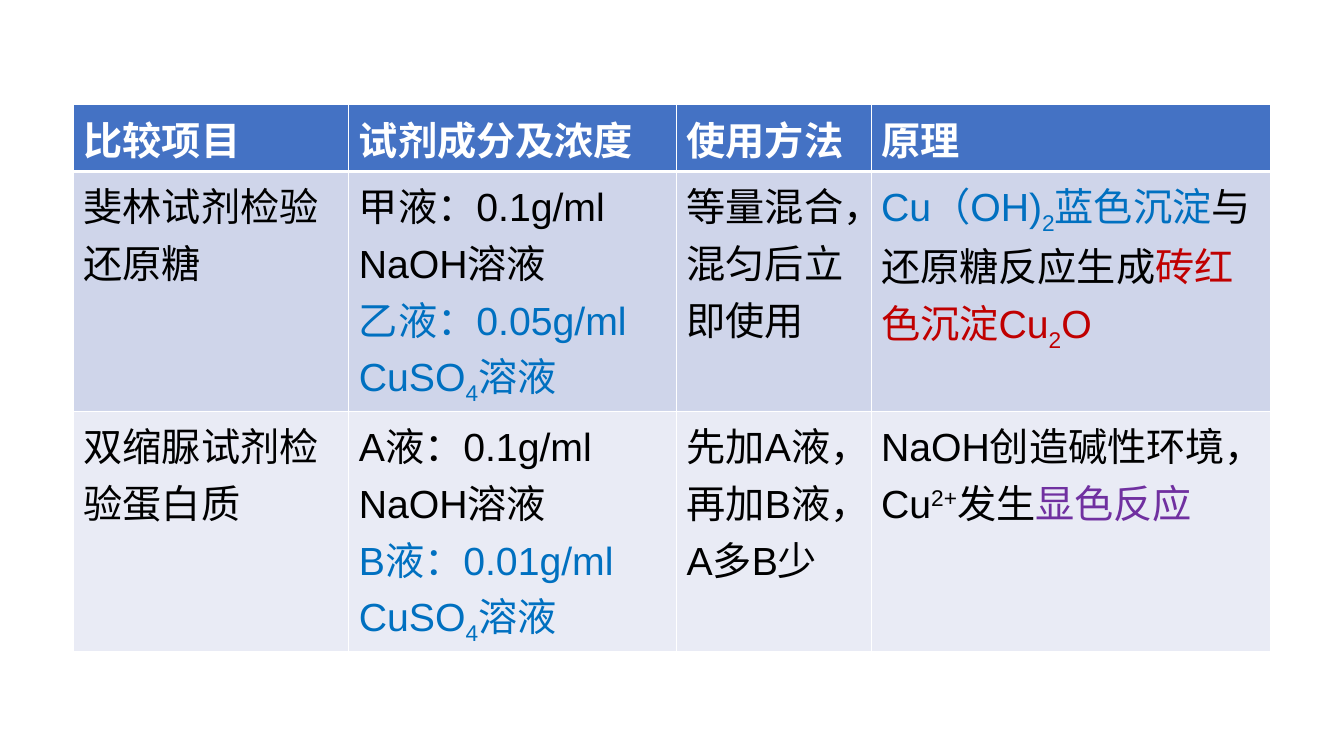
from lxml import etree
from pptx import Presentation
from pptx.dml.color import RGBColor
from pptx.enum.lang import MSO_LANGUAGE_ID
from pptx.oxml.ns import qn
from pptx.util import Inches, Pt

CHINESE = MSO_LANGUAGE_ID.SIMPLIFIED_CHINESE
WHITE, BLACK, BLUE, RED, PURPLE = "FFFFFF", "000000", "0070C0", "C00000", "7030A0"
SUBSCRIPT, SUPERSCRIPT = -25, 30
FONT_NAME, FONT_SIZE = "Arial", 28
ROW_FILLS = ["4472C4", "CFD5EA", "E9EBF5"]

SLIDE_WIDTH, SLIDE_HEIGHT = 13.33, 7.5
TABLE_LEFT, TABLE_TOP = 0.73, 1.04
COLUMN_WIDTHS = [2.73, 3.25, 1.93, 3.96]
ROW_HEIGHT = 0.42


def plain(text, color=BLACK):
    return [[(text, color, 0)]]


def reagents(first, second):
    copper_sulfate = [(second + " CuSO", BLUE, 0), ("4", BLUE, SUBSCRIPT), ("溶液", BLUE, 0)]
    return plain(first + " NaOH溶液") + [copper_sulfate]


HEADINGS = ["比较项目", "试剂成分及浓度", "使用方法", "原理"]
ROWS = [
    [plain(heading, WHITE) for heading in HEADINGS],
    [
        plain("斐林试剂检验还原糖"),
        reagents("甲液：0.1g/ml", "乙液：0.05g/ml"),
        plain("等量混合，混匀后立即使用"),
        [[
            ("Cu（OH)", BLUE, 0), ("2", BLUE, SUBSCRIPT), ("蓝色沉淀", BLUE, 0),
            ("与还原糖反应生成", BLACK, 0),
            ("砖红色沉淀Cu", RED, 0), ("2", RED, SUBSCRIPT), ("O", RED, 0),
        ]],
    ],
    [
        plain("双缩脲试剂检验蛋白质"),
        reagents("A液：0.1g/ml", "B液：0.01g/ml"),
        plain("先加A液，再加B液，A多B少"),
        [[
            ("NaOH创造碱性环境，Cu", BLACK, 0), ("2+", BLACK, SUPERSCRIPT),
            ("发生", BLACK, 0), ("显色反应", PURPLE, 0),
        ]],
    ],
]


def paint(color_format, color):
    color_format.rgb = RGBColor.from_string(color)


def add_borders(cell, row_index):
    properties = cell._tc.get_or_add_tcPr()
    widths = {
        "L": 1,
        "R": 1,
        "T": 3 if row_index == 1 else 1,
        "B": 3 if row_index == 0 else 1,
    }
    for side, width in widths.items():
        line = etree.SubElement(properties, qn("a:ln" + side), w=str(Pt(width)))
        fill = etree.SubElement(line, qn("a:solidFill"))
        etree.SubElement(fill, qn("a:srgbClr"), val=WHITE)


def add_run(paragraph, text, color, baseline, bold):
    run = paragraph.add_run()
    run.text = text
    run.font.name = FONT_NAME
    run.font.size = Pt(FONT_SIZE)
    run.font.bold = bold
    run.font.language_id = CHINESE
    paint(run.font.color, color)
    if baseline:
        run._r.get_or_add_rPr().set("baseline", str(baseline * 1000))


def fill_cell(cell, paragraphs, row_index):
    add_borders(cell, row_index)
    cell.fill.solid()
    paint(cell.fill.fore_color, ROW_FILLS[row_index])
    frame = cell.text_frame
    for index, runs in enumerate(paragraphs):
        paragraph = frame.add_paragraph() if index else frame.paragraphs[0]
        for text, color, baseline in runs:
            add_run(paragraph, text, color, baseline, row_index == 0)


def main():
    presentation = Presentation()
    presentation.slide_width = Inches(SLIDE_WIDTH)
    presentation.slide_height = Inches(SLIDE_HEIGHT)
    slide = presentation.slides.add_slide(presentation.slide_layouts[6])

    table = slide.shapes.add_table(
        len(ROWS), len(COLUMN_WIDTHS), Inches(TABLE_LEFT), Inches(TABLE_TOP),
        Inches(sum(COLUMN_WIDTHS)), Inches(ROW_HEIGHT * len(ROWS)),
    ).table
    for column, width in zip(table.columns, COLUMN_WIDTHS):
        column.width = Inches(width)
    for row_index, row in enumerate(ROWS):
        for column_index, paragraphs in enumerate(row):
            fill_cell(table.cell(row_index, column_index), paragraphs, row_index)

    presentation.save("out.pptx")


if __name__ == "__main__":
    main()
